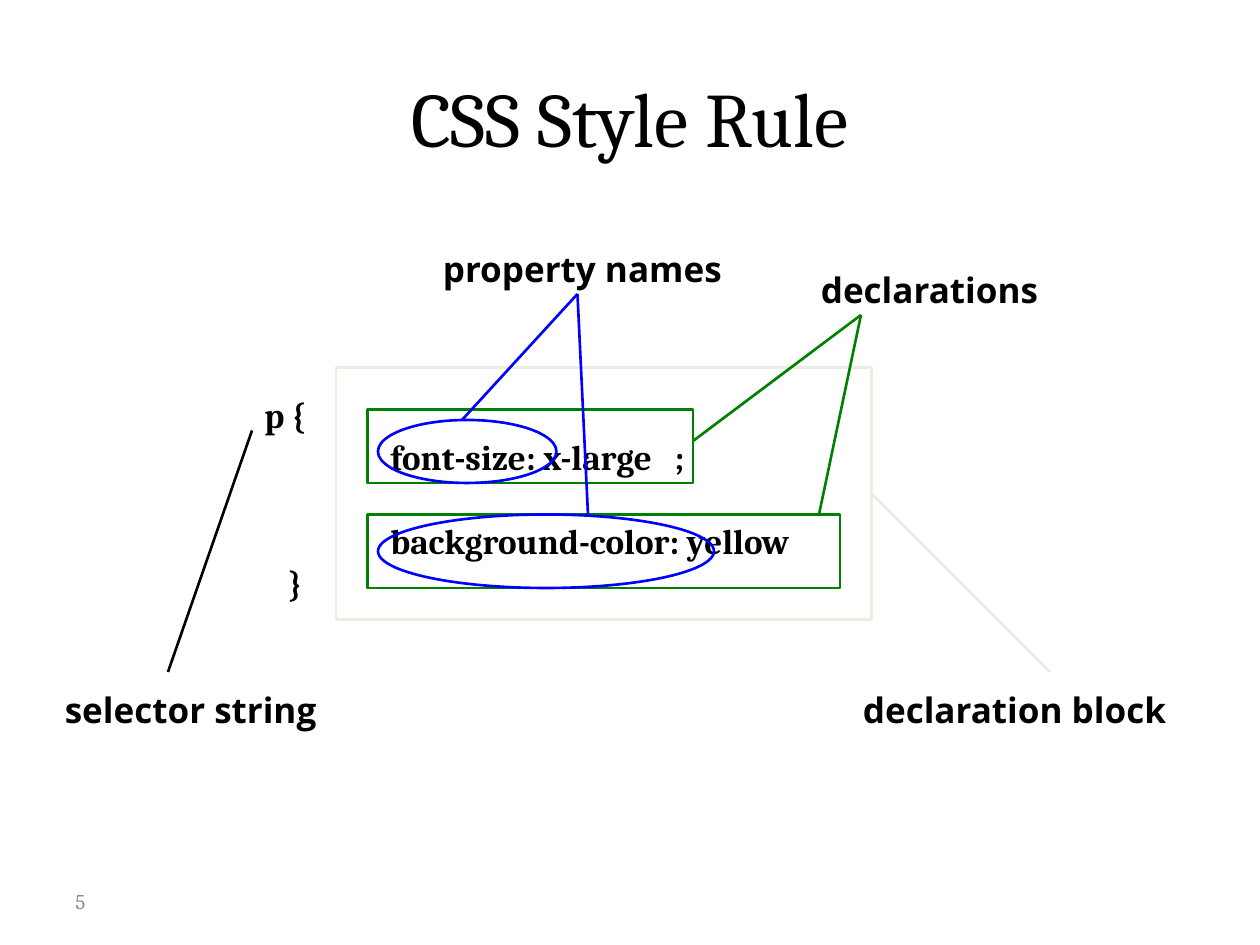
import pptx
import pptx.util
import pptx.dml.color
import pptx.enum.shapes
import pptx.enum.text
import lxml.etree
from dataclasses import dataclass

Cm = pptx.util.Cm
Pt = pptx.util.Pt
Shape = pptx.enum.shapes.MSO_SHAPE
Align = pptx.enum.text.PP_ALIGN
Anchor = pptx.enum.text.MSO_ANCHOR


@dataclass(frozen=True)
class Theme:
    """Colours, fonts and sizes of the slide."""
    ink: str = "000000"
    grey: str = "8C8C8C"
    green: str = "008000"
    blue: str = "0000FF"
    cream: str = "EEECE1"
    serif: str = "Cambria"
    sans: str = "Open Sans"
    head: int = 44
    body: int = 20
    small: int = 12
    line: float = 1.5


def unit(n):
    """Turn grid steps, twelve to 2.54 cm, into a length."""
    return Cm(n * 2.54 / 12)


def rgb(code):
    """Turn a hex code into a colour."""
    return pptx.dml.color.RGBColor.from_string(code)


def write(para, text, font, size, color, bold=False, align=Align.LEFT,
          before=0, indent=0, tabs=()):
    """Put formatted text into a paragraph."""
    para.alignment = align
    para.space_before = Pt(before)
    props = para._p.get_or_add_pPr()
    if indent:
        props.set("marL", str(Cm(indent)))
        props.set("indent", "0")
    if tabs:
        ns = pptx.oxml.ns.qn
        stops = lxml.etree.SubElement(props, ns("a:tabLst"))
        for stop in tabs:
            lxml.etree.SubElement(stops, ns("a:tab"), pos=str(Cm(stop)), algn="l")
    run = para.add_run()
    run.text = text
    run.font.name = font
    run.font.size = Pt(size)
    run.font.bold = bold
    run.font.color.rgb = rgb(color)


class Page:
    """A slide with its style; places are in grid steps."""

    def __init__(self, slide, theme):
        """Keep the slide and the theme."""
        self.slide = slide
        self.theme = theme

    def title(self, text, box):
        """Fill and move the title placeholder."""
        t = self.theme
        head = self.slide.shapes.title
        head.left, head.top, head.width, head.height = map(unit, box)
        head.text_frame.vertical_anchor = Anchor.MIDDLE
        write(head.text_frame.paragraphs[0], text, t.serif, t.head, t.ink,
              align=Align.CENTER)

    def text(self, rows, box, anchor=Anchor.TOP, **form):
        """Add a text box; each row is a text and its own format."""
        frame = self.slide.shapes.add_textbox(*map(unit, box)).text_frame
        frame.word_wrap = True
        frame.vertical_anchor = anchor
        for i, (text, extra) in enumerate(rows):
            para = frame.add_paragraph() if i else frame.paragraphs[0]
            write(para, text, **{**form, **extra})

    def label(self, text, box):
        """Add a bold label."""
        t = self.theme
        self.text([(text, {})], box, font=t.sans, size=t.body,
                  color=t.ink, bold=True)

    def ring(self, kind, box, color):
        """Add an outline without fill."""
        shape = self.slide.shapes.add_shape(kind, *map(unit, box))
        shape.shadow.inherit = False
        shape.fill.background()
        self.stroke(shape, color)

    def link(self, start, end, color):
        """Add a straight line."""
        line = self.slide.shapes.add_connector(
            pptx.enum.shapes.MSO_CONNECTOR.STRAIGHT, *map(unit, start + end))
        self.stroke(line, color)
        lxml.etree.SubElement(line._element.spPr, pptx.oxml.ns.qn("a:effectLst"))

    def stroke(self, shape, color):
        """Set colour and width of a line."""
        shape.line.color.rgb = rgb(color)
        shape.line.width = Pt(self.theme.line)


def main():
    """Build the slide and save it."""
    deck = pptx.Presentation()
    deck.slide_width, deck.slide_height = unit(120), unit(90)
    t = Theme()
    page = Page(deck.slides.add_slide(deck.slide_layouts[5]), t)

    page.text([("5", {})], (6, 83.4, 28, 4.8), Anchor.MIDDLE,
              font=t.serif, size=t.small, color=t.grey)
    page.title("CSS Style Rule", (6, 3.6, 108, 15))

    stops = (2.54, 8.27)
    code = [("p {", {}),
            ("\tfont-size: x-large\t;", {"tabs": stops}),
            ("\tbackground-color: yellow", {"tabs": stops, "before": 24}),
            ("}", {"indent": 0.48})]
    page.text(code, (24, 23, 64, 49), Anchor.MIDDLE,
              font=t.serif, size=t.body, color=t.ink, bold=True)

    rings = [(Shape.RECTANGLE, (35, 39, 31, 7), t.green),
             (Shape.RECTANGLE, (35, 49, 45, 7), t.green),
             (Shape.RECTANGLE, (32, 35, 51, 24), t.cream),
             (Shape.OVAL, (36, 40, 17, 6), t.blue),
             (Shape.OVAL, (36, 49, 32, 7), t.blue)]
    for ring in rings:
        page.ring(*ring)

    links = [((16, 64), (24, 41), t.ink),
             ((44, 40), (55, 28), t.blue),
             ((55, 28), (56, 49), t.blue),
             ((66, 42), (82, 30), t.green),
             ((78, 49), (82, 30), t.green),
             ((83, 47), (100, 64), t.cream)]
    for link in links:
        page.link(*link)

    labels = [("selector string", (5, 65, 29, 5)),
              ("property names", (41, 23, 29, 5)),
              ("declarations", (77, 25, 29, 5)),
              ("declaration block", (81, 65, 33, 5))]
    for label in labels:
        page.label(*label)

    deck.save("out.pptx")


main()
